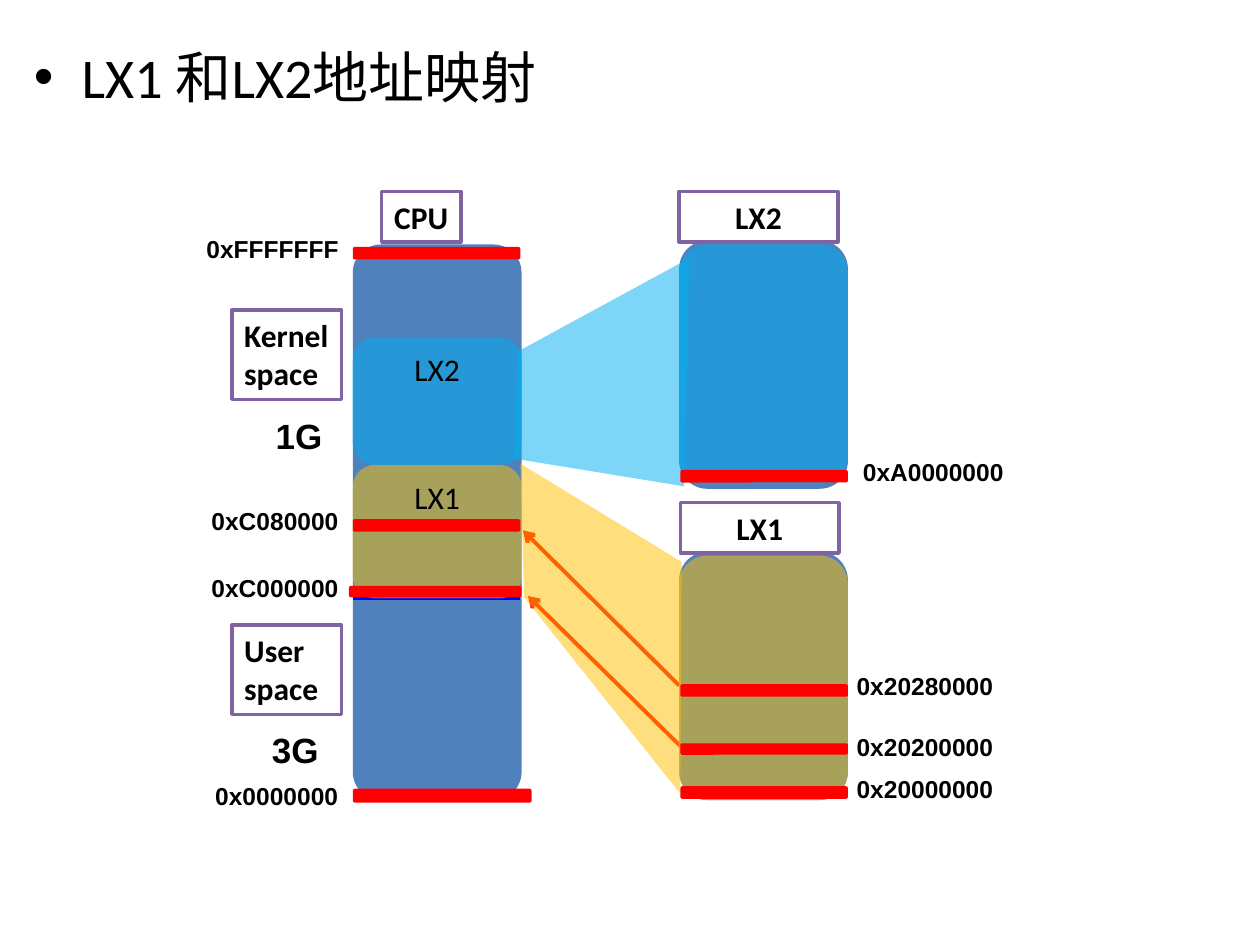
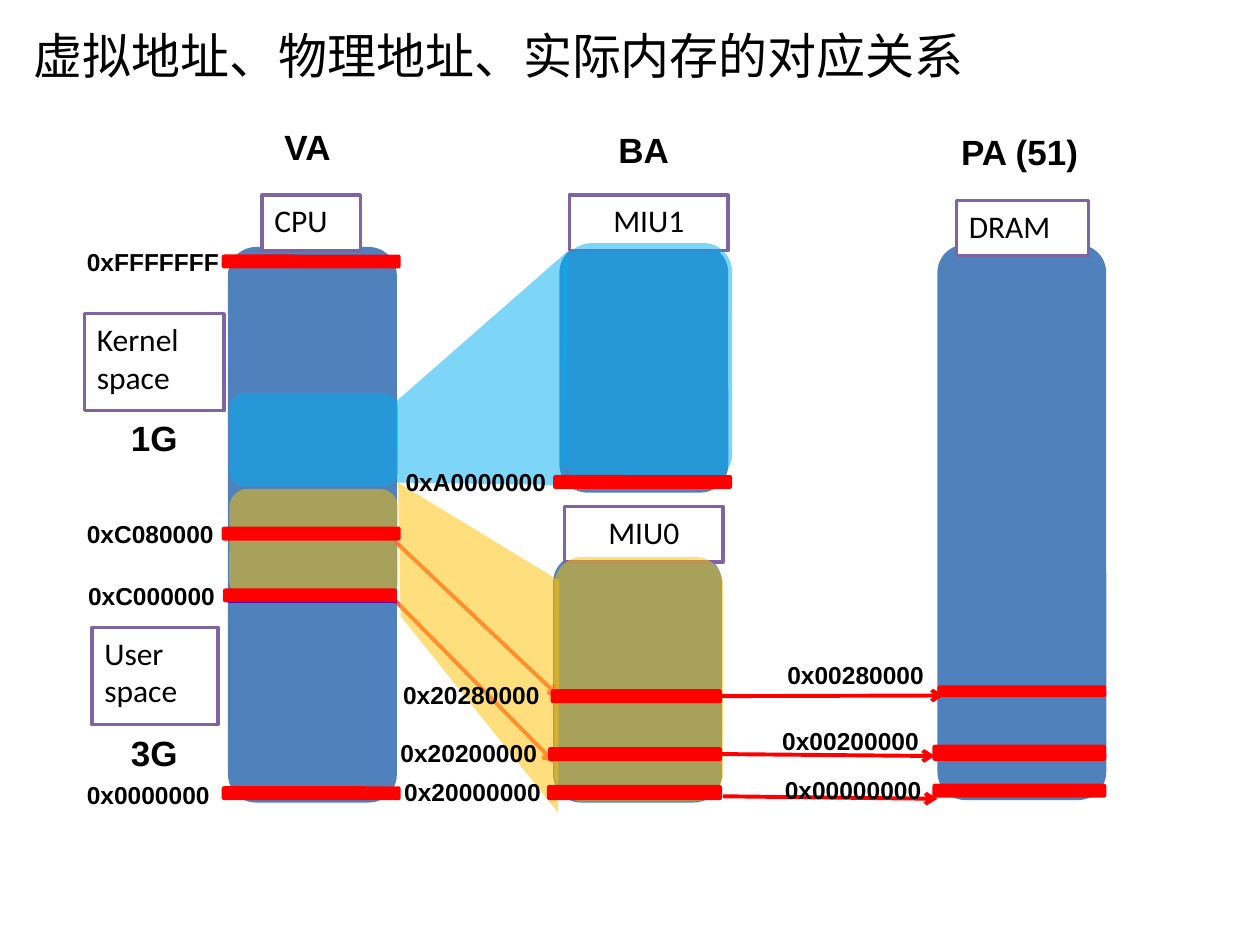
import pptx
import pptx.dml.color
import pptx.enum.shapes
import pptx.enum.text
import pptx.oxml
import pptx.oxml.ns
import pptx.util

COLUMNS, ROWS = 10, 7.5
CELL = pptx.util.Inches(1)  # one grid column or row

BLACK, WHITE = "000000", "FFFFFF"
BLUE, RED, PURPLE, NAVY = "4F81BD", "FF0000", "8064A2", "0000FF"
SKY, AMBER = "00B0F0", "FFC000"
BODY_FONT, LABEL_FONT = "Calibri", "Arial"
BLOCK_WIDTH = 1.34
LEFT = pptx.enum.text.PP_ALIGN.LEFT
CENTER = pptx.enum.text.PP_ALIGN.CENTER
RECTANGLE = pptx.enum.shapes.MSO_SHAPE.RECTANGLE
ROUNDED = pptx.enum.shapes.MSO_SHAPE.ROUNDED_RECTANGLE


def grid(*lengths):
    return [round(length * CELL) for length in lengths]


def rgb(color):
    return pptx.dml.color.RGBColor.from_string(color)


def add_xml(parent, tag, **attributes):
    child = pptx.oxml.ns.qn(tag)
    element = parent.makeelement(child, attributes)
    parent.append(element)
    return element


def set_opacity(fill_parent, percent):
    color = fill_parent.find(".//" + pptx.oxml.ns.qn("a:srgbClr"))
    add_xml(color, "a:alpha", val=str(percent * 1000))


def write(shape, text, size, font=BODY_FONT, bold=False, align=LEFT):
    frame = shape.text_frame
    frame.word_wrap = True
    frame.vertical_anchor = pptx.enum.text.MSO_ANCHOR.TOP
    if align == LEFT:
        frame.margin_right = 0
    frame.text = text
    for para in frame.paragraphs:
        para.alignment = align
        for span in para.runs:
            span.font.size = pptx.util.Pt(size)
            span.font.name = font
            span.font.bold = bold
            span.font.color.rgb = rgb(BLACK)


def add_text(slide, box, text, size, font=BODY_FONT, bold=False):
    shape = slide.shapes.add_textbox(*grid(*box))
    write(shape, text, size, font, bold)
    return shape


def paint(shape, color, opacity=100):
    shape.shadow.inherit = False
    shape.fill.solid()
    shape.fill.fore_color.rgb = rgb(color)
    shape.line.fill.background()
    if opacity < 100:
        set_opacity(shape.fill._xPr, opacity)


def add_block(slide, box, color, opacity=100):
    shape = slide.shapes.add_shape(ROUNDED, *grid(*box))
    paint(shape, color, opacity)
    return shape


def add_memory(slide, left, top, height):
    add_block(slide, (left, top, BLOCK_WIDTH, height), BLUE)


def add_region(slide, left, top, height, color, name=""):
    """Translucent mapped area over a memory block."""
    region = add_block(slide, (left, top, BLOCK_WIDTH, height), color, 51)
    if name:
        write(region, name, 18, align=CENTER)


def add_tag(slide, box, text, bold, align=LEFT):
    tag = slide.shapes.add_shape(RECTANGLE, *grid(*box))
    paint(tag, WHITE)
    tag.line.color.rgb = rgb(PURPLE)
    tag.line.width = pptx.util.Pt(2)
    write(tag, text, 18, bold=bold, align=align)


def add_funnel(slide, color, corners):
    """Translucent projection from an address range to its memory."""
    points = [grid(*corner) for corner in corners]
    builder = slide.shapes.build_freeform(*points[0], scale=1.0)
    builder.add_line_segments(points[1:], close=True)
    paint(builder.convert_to_shape(), color, 51)


def add_line(slide, start, end, color=RED, arrow=True, opacity=100):
    straight = pptx.enum.shapes.MSO_CONNECTOR.STRAIGHT
    line = slide.shapes.add_connector(straight, *grid(*start, *end))
    line.line.color.rgb = rgb(color)
    line.line.width = pptx.util.Pt(2.25)
    outline = line.line._get_or_add_ln()
    if opacity < 100:
        set_opacity(outline, opacity)
    if arrow:
        add_xml(outline, "a:tailEnd", type="arrow")
    add_xml(line._element.spPr, "a:effectLst")
    return line


def add_markers(slide, markers):
    """Red bars with address labels; returns the bars by address."""
    bars = {}
    for address, bar_box, label_left, label_top in markers:
        bars[address] = add_block(slide, bar_box, RED)
        add_text(slide, (label_left, label_top, 1.35, 0.34),
                 address, 14, LABEL_FONT, True)
    return bars


def add_captions(slide, captions):
    for text, left, top, width in captions:
        add_text(slide, (left, top, width, 0.44), text, 20, LABEL_FONT, True)


def add_bullet(para, indent):
    properties = para._p.get_or_add_pPr()
    properties.set("marL", str(indent))
    properties.set("indent", str(-indent))
    add_xml(properties, "a:buFont", typeface="Arial")
    add_xml(properties, "a:buChar", char="•")


def build_lx_mapping(slide):
    heading = add_text(slide, (0.17, 0.29, 9.58, 6.38), "LX1 和LX2地址映射", 32)
    add_bullet(heading.text_frame.paragraphs[0], grid(0.38)[0])

    cpu, lx = 2.8, 5.39
    for memory in ((cpu, 1.94, 4.41), (lx, 4.38, 1.97), (lx, 1.91, 1.97)):
        add_memory(slide, *memory)
    for box, text, align in (
        ((3.03, 1.52, 0.63, 0.4), "CPU", LEFT),
        ((5.4, 3.99, 1.26, 0.4), "LX1", CENTER),
        ((lx, 1.52, 1.26, 0.4), "LX2", CENTER),
        ((1.84, 2.46, 0.87, 0.71), "Kernel\vspace", LEFT),
        ((1.84, 4.96, 0.87, 0.71), "User\vspace", LEFT),
    ):
        add_tag(slide, box, text, True, align)
    add_captions(slide, [("1G", 2.09, 3.24, 0.57), ("3G", 2.06, 5.73, 0.58)])

    add_line(slide, (cpu, 4.75), (4.13, 4.75), NAVY, arrow=False)
    add_line(slide, (5.47, 5.99), (4.19, 4.73))
    add_line(slide, (lx, 5.44), (4.15, 4.21))

    add_region(slide, cpu, 3.69, 1.06, AMBER, "LX1")
    add_region(slide, lx, 4.41, 1.94, AMBER)
    add_region(slide, cpu, 2.68, 1.01, SKY, "LX2")
    add_region(slide, lx, 1.94, 1.9, SKY)
    add_funnel(slide, SKY, [(4.11, 2.79), (5.47, 2.05), (5.43, 3.86), (4.08, 3.64)])
    add_funnel(slide, AMBER, [(4.13, 3.68), (4.16, 4.74), (5.4, 6.3), (5.41, 4.46)])

    add_markers(slide, [
        ("0x0000000", (2.8, 6.26, 1.42, 0.11), 1.61, 6.15),
        ("0xC000000", (2.77, 4.65, 1.37, 0.09), 1.58, 4.5),
        ("0xC080000", (2.8, 4.12, 1.33, 0.1), 1.58, 3.97),
        ("0xFFFFFFF", (2.8, 1.96, 1.33, 0.1), 1.54, 1.81),
        ("0x20000000", (5.4, 6.24, 1.33, 0.1), 6.7, 6.09),
        ("0x20200000", (5.4, 5.9, 1.33, 0.09), 6.7, 5.76),
        ("0x20280000", (5.4, 5.43, 1.33, 0.1), 6.7, 5.28),
        ("0xA0000000", (5.4, 3.73, 1.33, 0.1), 6.75, 3.58),
    ])


def build_address_spaces(slide):
    title = add_text(slide, (0.17, 0.16, 8.69, 0.55),
                     "虚拟地址、物理地址、实际内存的对应关系", 28)
    title.text_frame.vertical_anchor = pptx.enum.text.MSO_ANCHOR.MIDDLE

    cpu, dram = 1.81, 7.44
    for memory in ((cpu, 1.96, 4.41), (4.39, 4.4, 1.97),
                   (dram, 1.94, 4.41), (4.44, 1.94, 1.97)):
        add_memory(slide, *memory)
    for box, text, align in (
        ((2.08, 1.55, 0.78, 0.44), "CPU", LEFT),
        ((4.48, 4.02, 1.26, 0.44), "MIU0", CENTER),
        ((4.52, 1.55, 1.26, 0.44), "MIU1", CENTER),
        ((7.59, 1.59, 1.05, 0.44), "DRAM", LEFT),
        ((0.67, 2.49, 1.11, 0.77), "Kernel\vspace", LEFT),
        ((0.73, 4.98, 1, 0.77), "User\vspace", LEFT),
    ):
        add_tag(slide, box, text, False, align)
    add_captions(slide, [
        ("1G", 0.94, 3.26, 0.57), ("3G", 0.94, 5.76, 0.58),
        ("VA", 2.16, 0.95, 0.64), ("BA", 4.81, 0.97, 0.68),
        ("PA (51)", 7.53, 0.99, 1.14),
    ])

    add_line(slide, (cpu, 4.77), (3.15, 4.77), NAVY, arrow=False)
    add_line(slide, (3.14, 4.77), (4.4, 6.05), opacity=64)
    add_line(slide, (3.14, 4.3), (4.44, 5.53), opacity=64)
    add_line(slide, (5.74, 6.32), (dram, 6.34))

    add_region(slide, 1.82, 3.88, 0.88, AMBER)
    add_region(slide, 4.4, 4.42, 1.94, AMBER)
    add_region(slide, 1.82, 3.12, 0.74, SKY)
    add_region(slide, 4.47, 1.93, 1.9, SKY)
    add_funnel(slide, AMBER, [(3.16, 3.83), (3.18, 4.89), (4.43, 6.45), (4.44, 4.61)])
    add_funnel(slide, SKY, [(3.14, 3.19), (4.51, 1.99), (4.48, 3.85), (3.15, 3.83)])

    bars = add_markers(slide, [
        ("0x0000000", (1.76, 6.24, 1.42, 0.11), 0.59, 6.14),
        ("0xC000000", (1.77, 4.67, 1.38, 0.11), 0.6, 4.56),
        ("0xC080000", (1.76, 4.18, 1.42, 0.11), 0.59, 4.07),
        ("0xFFFFFFF", (1.76, 2.02, 1.42, 0.11), 0.59, 1.91),
        ("0xA0000000", (4.39, 3.77, 1.42, 0.11), 3.12, 3.66),
        ("0x00280000", (7.44, 5.44, 1.34, 0.09), 6.15, 5.19),
        ("0x20200000", (4.35, 5.93, 1.38, 0.11), 3.08, 5.81),
        ("0x20000000", (4.34, 6.23, 1.39, 0.12), 3.11, 6.12),
        ("0x20280000", (4.37, 5.47, 1.36, 0.11), 3.1, 5.35),
        ("0x00200000", (7.4, 5.91, 1.38, 0.13), 6.11, 5.71),
        ("0x00000000", (7.4, 6.22, 1.38, 0.11), 6.13, 6.1),
    ])
    for source, start, end in (
        ("0x20200000", (5.73, 5.99), (7.42, 6)),
        ("0x20280000", (5.73, 5.51), (7.49, 5.52)),
    ):
        add_line(slide, start, end).begin_connect(bars[source], 3)


def main():
    deck = pptx.Presentation()
    deck.slide_width, deck.slide_height = grid(COLUMNS, ROWS)
    blank = deck.slide_layouts[6]
    for build in (build_lx_mapping, build_address_spaces):
        build(deck.slides.add_slide(blank))
    deck.save("out.pptx")


if __name__ == "__main__":
    main()
